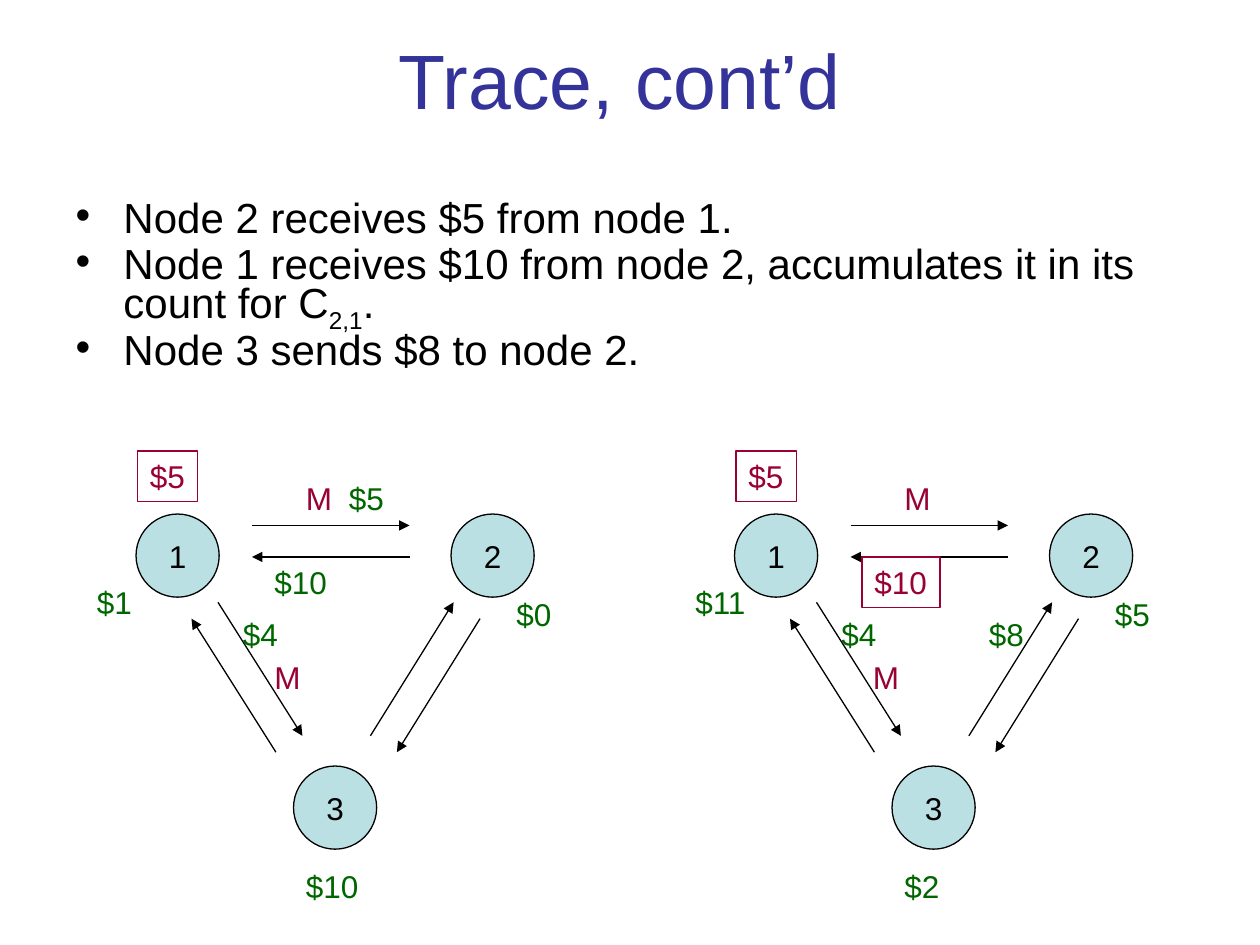
from lxml.etree import SubElement
from pptx import Presentation
from pptx.dml.color import RGBColor
from pptx.enum.shapes import MSO_CONNECTOR, MSO_SHAPE
from pptx.enum.text import MSO_ANCHOR, MSO_AUTO_SIZE, PP_ALIGN
from pptx.oxml.ns import qn
from pptx.util import Inches, Pt

BLACK = RGBColor(0x00, 0x00, 0x00)
TITLE_BLUE = RGBColor(0x33, 0x33, 0x99)
NODE_BLUE = RGBColor(0xBB, 0xE0, 0xE3)
MONEY_GREEN = RGBColor(0x00, 0x66, 0x00)
MARKER_RED = RGBColor(0x99, 0x00, 0x33)

NODE_SIZE = 0.66
LABEL_HEIGHT = 0.4
GRAPH_SPACING = 4.75

# Positions within a graph; each graph is shifted right by a multiple of GRAPH_SPACING
NODES = [("1", 1.08, 4.08), ("3", 2.33, 6.08), ("2", 3.58, 4.08)]
CHANNELS = [
    ((2, 4.17), (3.25, 4.17)),
    ((3.25, 4.42), (2, 4.42)),
    ((2.94, 5.84), (3.6, 4.78)),
    ((3.81, 4.91), (3.15, 5.97)),
    ((1.73, 4.78), (2.4, 5.84)),
    ((2.19, 5.97), (1.52, 4.91)),
]
SHARED_MARKERS = [("M", 2.33, 3.75), ("M", 2.08, 5.17)]
SHARED_MONEY = [("$4", 1.83, 4.83)]
SHARED_RECORDED = [("$5", 1.09, 3.58)]

# Per graph: money on nodes and channels, then recorded channel amounts
GRAPHS = [
    ([("$5", 2.67, 3.75), ("$10", 2.08, 4.42), ("$1", 0.67, 4.58),
      ("$0", 4, 4.67), ("$10", 2.33, 6.83)], []),
    ([("$8", 3, 4.83), ("$11", 0.67, 4.58), ("$5", 4, 4.67),
      ("$2", 2.33, 6.83)], [("$10", 2.09, 4.42)]),
]

BULLETS = [
    [("Node 2 receives $5 from node 1.", False)],
    [("Node 1 receives $10 from node 2, accumulates it in its count for C", False),
     ("2,1", True), (".", False)],
    [("Node 3 sends $8 to node 2.", False)],
]


def add_span(para, text, size, color):
    span = para.add_run()
    span.text = text
    for name, value in {"name": "Arial", "size": Pt(size)}.items():
        setattr(span.font, name, value)
    span.font.color.rgb = color
    return span


def place(shape, left, top, width, height):
    for name, value in {"left": left, "top": top, "width": width, "height": height}.items():
        setattr(shape, name, Inches(value))


def fill_title(title):
    place(title, 0.42, 0, 9, 1.25)
    title.text_frame.vertical_anchor = MSO_ANCHOR.MIDDLE
    para = title.text_frame.paragraphs[0]
    para.alignment = PP_ALIGN.CENTER
    add_span(para, "Trace, cont’d", 44, TITLE_BLUE)


def fill_bullets(body):
    place(body, 0.5, 1.58, 9.17, 1.58)
    frame = body.text_frame
    frame.auto_size = MSO_AUTO_SIZE.NONE
    frame.vertical_anchor = MSO_ANCHOR.TOP
    for index, spans in enumerate(BULLETS):
        para = frame.add_paragraph() if index else frame.paragraphs[0]
        for name, value in {"line_spacing": 0.7, "space_before": Pt(6)}.items():
            setattr(para, name, value)
        properties = para._p.get_or_add_pPr()
        properties.set("marL", str(Inches(0.38)))
        properties.set("indent", str(-Inches(0.38)))
        SubElement(properties, qn("a:buChar")).set("char", "•")
        for text, is_subscript in spans:
            span = add_span(para, text, 24, BLACK)
            if is_subscript:
                span.font._element.set("baseline", "-25000")


def add_node(group, text, left, top):
    node = group.shapes.add_shape(MSO_SHAPE.OVAL, Inches(left), Inches(top),
                                  Inches(NODE_SIZE), Inches(NODE_SIZE))
    node.shadow.inherit = False
    node.fill.solid()
    node.fill.fore_color.rgb = NODE_BLUE
    node.line.color.rgb = BLACK
    node.line.width = Pt(0.75)
    frame = node.text_frame
    frame.word_wrap = False
    frame.vertical_anchor = MSO_ANCHOR.MIDDLE
    para = frame.paragraphs[0]
    para.alignment = PP_ALIGN.CENTER
    add_span(para, text, 18, BLACK)


def add_arrow(group, start, end, shift):
    arrow = group.shapes.add_connector(
        MSO_CONNECTOR.STRAIGHT, Inches(start[0] + shift), Inches(start[1]),
        Inches(end[0] + shift), Inches(end[1]))
    arrow.line.color.rgb = BLACK
    arrow.line.width = Pt(0.75)
    SubElement(arrow.line._get_or_add_ln(), qn("a:tailEnd")).set("type", "triangle")
    SubElement(arrow._element.spPr, qn("a:effectLst"))


def add_label(group, text, left, top, color, boxed=False):
    # Side insets plus the width of the characters at 18 pt
    width = 0.41 if text == "M" else 0.2 + 0.14 * len(text)
    box = group.shapes.add_textbox(Inches(left), Inches(top),
                                   Inches(width), Inches(LABEL_HEIGHT))
    box.text_frame.word_wrap = False
    box.text_frame.auto_size = MSO_AUTO_SIZE.SHAPE_TO_FIT_TEXT
    add_span(box.text_frame.paragraphs[0], text, 18, color)
    if boxed:
        box.line.color.rgb = color
        box.line.width = Pt(0.75)


def add_graph(page, shift, money, recorded):
    group = page.shapes.add_group_shape()
    for text, left, top in NODES:
        add_node(group, text, left + shift, top)
    for start, end in CHANNELS:
        add_arrow(group, start, end, shift)
    for labels, color, boxed in [
        (SHARED_MARKERS, MARKER_RED, False),
        (SHARED_MONEY + money, MONEY_GREEN, False),
        (SHARED_RECORDED + recorded, MARKER_RED, True),
    ]:
        for text, left, top in labels:
            add_label(group, text, left + shift, top, color, boxed)


def main():
    deck = Presentation()
    deck.slide_width, deck.slide_height = Inches(10), Inches(7.5)
    page = deck.slides.add_slide(deck.slide_layouts[1])

    # Heading and steps
    fill_title(page.shapes.title)
    fill_bullets(page.placeholders[1])

    # State before and after the steps
    for index, (money, recorded) in enumerate(GRAPHS):
        add_graph(page, index * GRAPH_SPACING, money, recorded)

    deck.save("out.pptx")


if __name__ == "__main__":
    main()
